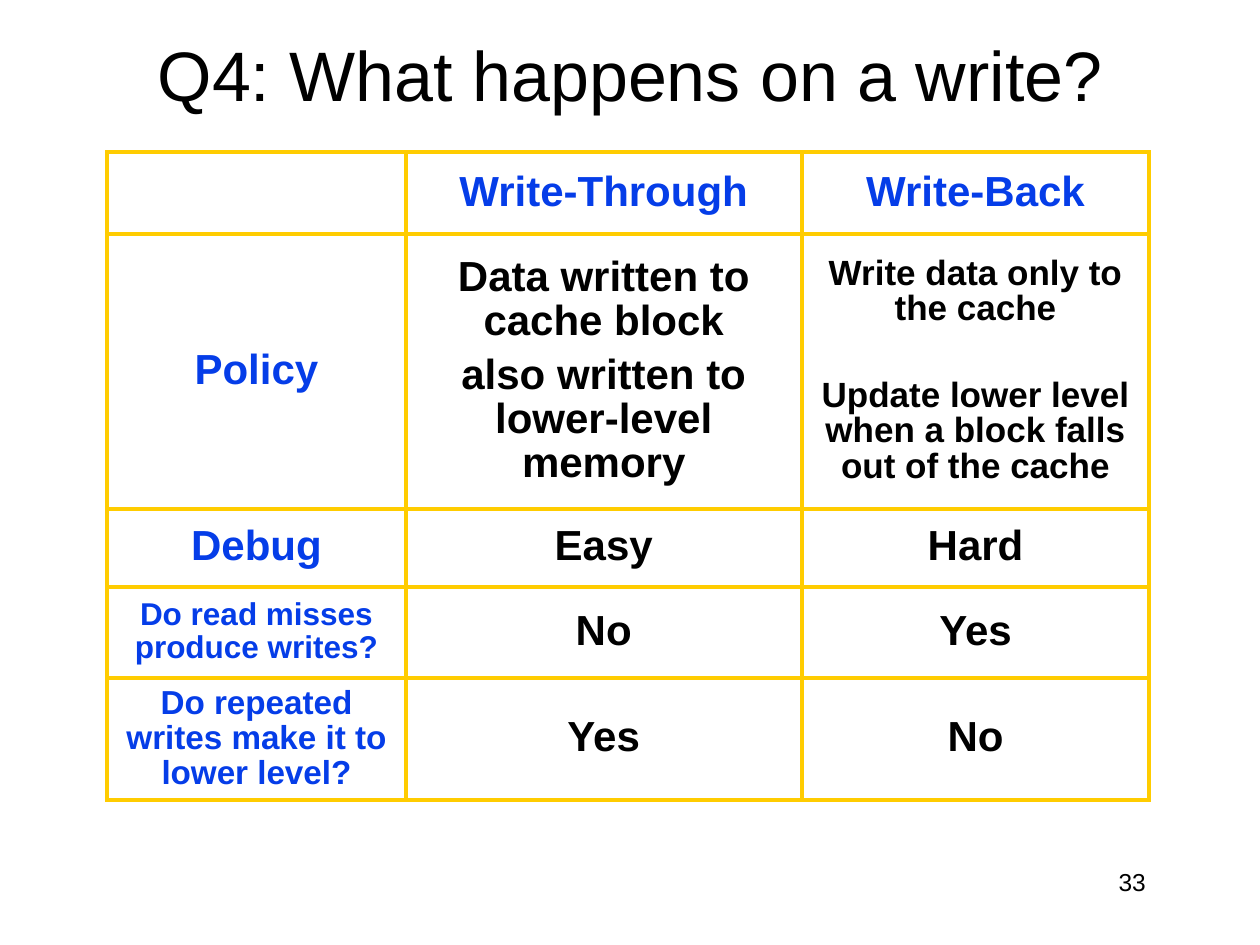
from dataclasses import dataclass

from lxml import etree
from pptx import Presentation
from pptx import util as u
from pptx.dml.color import RGBColor
from pptx.enum import text
from pptx.oxml.ns import qn


@dataclass(frozen=True)
class Theme:
    font: str = "Arial"
    ink: str = "000000"
    heading: str = "053DE8"
    rule: str = "FFCC00"
    rule_width: float = 2.5
    title_size: int = 40
    cell_size: int = 24
    number_size: int = 14


# Line pitch and space before for each type size in the table, in points
PITCH = {24: (25, 6), 20: (20, 5), 19: (20, 4.8), 18: (19, 4.5)}


class SlideBuilder:
    def __init__(self, slide, theme):
        self.slide = slide
        self.theme = theme

    def paragraph(self, paragraph, words, size, color, bold=False, **layout):
        paragraph.text = words
        formats = {"size": u.Pt(size), "name": self.theme.font, "bold": bold}
        for name, value in formats.items():
            setattr(paragraph.runs[0].font, name, value)
        paragraph.runs[0].font.color.rgb = RGBColor.from_string(color)
        for name, value in layout.items():
            setattr(paragraph, name, value)

    def text_box(self, place, words, size, frame_format, **layout):
        box = self.slide.shapes.add_textbox(*map(u.Cm, place))
        for name, value in {"word_wrap": True, **frame_format}.items():
            setattr(box.text_frame, name, value)
        self.paragraph(box.text_frame.paragraphs[0], words, size, self.theme.ink, **layout)

    def borders(self, cell):
        properties = cell._tc.get_or_add_tcPr()
        for side in ("lnL", "lnR", "lnT", "lnB"):
            line = etree.SubElement(properties, qn(f"a:{side}"), w=str(u.Pt(self.theme.rule_width)))
            fill = etree.SubElement(line, qn("a:solidFill"))
            etree.SubElement(fill, qn("a:srgbClr"), val=self.theme.rule)

    def cell(self, cell, paragraphs, size, color, gap=None):
        self.borders(cell)
        cell.fill.background()
        cell.vertical_anchor = text.MSO_ANCHOR.MIDDLE
        pitch, before = PITCH[size]
        for i, words in enumerate(paragraphs):
            frame = cell.text_frame
            target = frame.add_paragraph() if i else frame.paragraphs[0]
            self.paragraph(target, words, size, color, bold=True,
                           alignment=text.PP_ALIGN.CENTER, line_spacing=u.Pt(pitch),
                           space_before=u.Pt((gap or before) if i else 0))

    def table(self, left, top, widths, heights, rows, sizes, gaps):
        table = self.slide.shapes.add_table(
            len(heights), len(widths), u.Cm(left), u.Cm(top),
            u.Cm(sum(widths)), u.Cm(sum(heights))).table
        table.first_row = table.horz_banding = False
        for column, width in zip(table.columns, widths):
            column.width = u.Cm(width)
        for row, height in zip(table.rows, heights):
            row.height = u.Cm(height)
        for r, row in enumerate(rows):
            for c, paragraphs in enumerate(row):
                color = self.theme.ink if r and c else self.theme.heading
                self.cell(table.cell(r, c), paragraphs,
                          sizes.get((r, c), self.theme.cell_size), color, gaps.get((r, c)))


def main():
    theme = Theme()
    deck = Presentation()
    deck.slide_width, deck.slide_height = u.Cm(25.4), u.Cm(19.05)
    builder = SlideBuilder(deck.slides.add_slide(deck.slide_layouts[6]), theme)

    # Title
    builder.text_box((0.24, 0.53, 24.92, 2.11), "Q4: What happens on a write?", theme.title_size,
                     {"vertical_anchor": text.MSO_ANCHOR.MIDDLE},
                     alignment=text.PP_ALIGN.CENTER, line_spacing=0.9)

    # Comparison of write policies: each cell is a list of paragraphs
    comparison = [
        [[], ["Write-Through"], ["Write-Back"]],
        [["Policy"],
         ["Data written to cache block", "also written to lower-level memory"],
         ["Write data only to the cache",
          "Update lower level when a block falls out of the cache"]],
        [["Debug"], ["Easy"], ["Hard"]],
        [["Do read misses produce writes?"], ["No"], ["Yes"]],
        [["Do repeated writes make it to lower level?"], ["Yes"], ["No"]],
    ]
    builder.table(2.16, 3.07, (6.02, 7.98, 7.01), (1.65, 5.54, 1.57, 1.83, 2.46), comparison,
                  sizes={(1, 2): 20, (3, 0): 18, (4, 0): 19}, gaps={(1, 2): 30})

    # Slide number
    builder.text_box((18.21, 17.35, 5.28, 1.27), "33", theme.number_size,
                     {"margin_right": u.Cm(0.39)}, alignment=text.PP_ALIGN.RIGHT)

    deck.save("out.pptx")


if __name__ == "__main__":
    main()
